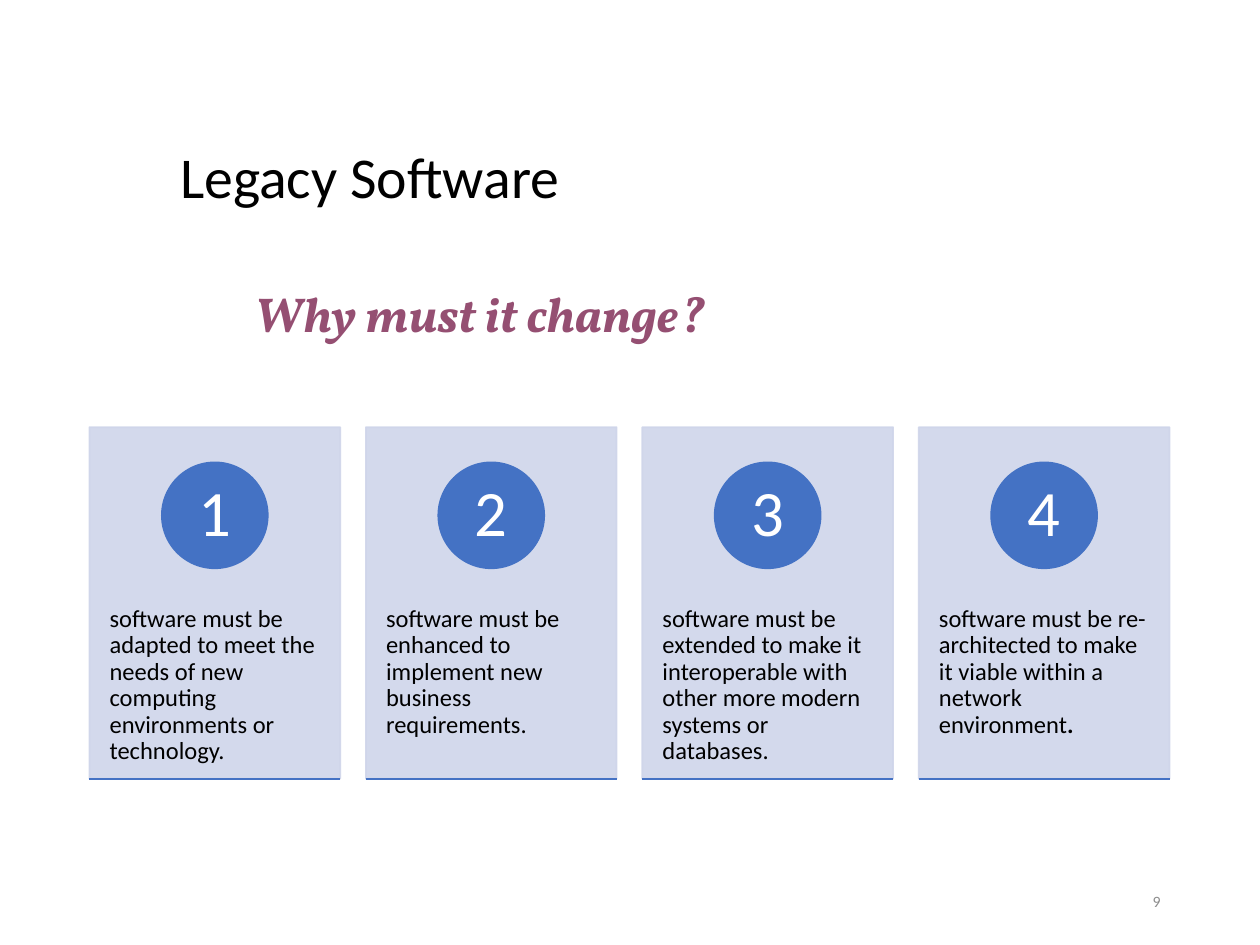
from dataclasses import dataclass

from pptx import Presentation
from pptx.dml.color import RGBColor
from pptx.enum import shapes as kinds, text as t
from pptx.oxml import ns, xmlchemy
from pptx.util import Inches, Pt

BLUE, PALE, BLACK, WHITE = "4472C4", "CFD5EA", "000000", "FFFFFF"
CARD_LEFT, CARD_TOP, CARD_WIDTH, CARD_HEIGHT = 0.71, 3.39, 1.99, 2.79
CARD_STEP = 2.194
CIRCLE, NUMERAL = 0.84, 0.59


@dataclass
class Reason:
    body: str
    bold_end: str = ""


REASONS = [
    Reason("software must be adapted to meet the needs of new computing environments or technology."),
    Reason("software must be enhanced to implement new business requirements."),
    Reason("software must be extended to make it interoperable with other more modern systems or databases."),
    Reason("software must be re-architected to make it viable within a network environment", "."),
]


def rgb(value: str) -> RGBColor:
    return RGBColor.from_string(value)


def style_text(shape, words: str, size: float, color: str, font: str = "Calibri",
               align=t.PP_ALIGN.LEFT, anchor=t.MSO_ANCHOR.TOP,
               insets=(0.1, 0.05), spacing: float = 0.9):
    """Fill a shape with one paragraph and return that paragraph."""
    frame = shape.text_frame
    frame.word_wrap = True
    frame.auto_size = t.MSO_AUTO_SIZE.NONE
    frame.vertical_anchor = anchor
    frame.margin_left = frame.margin_right = Inches(insets[0])
    frame.margin_top = frame.margin_bottom = Inches(insets[1])
    paragraph = frame.paragraphs[0]
    paragraph.text = words
    paragraph.alignment = align
    paragraph.line_spacing = spacing
    paragraph.font.size = Pt(size)
    paragraph.font.name = font
    paragraph.font.color.rgb = rgb(color)
    return paragraph


def add_text(slide, left: float, top: float, width: float, height: float,
             words: str, size: float, color: str, **style):
    box = slide.shapes.add_textbox(Inches(left), Inches(top), Inches(width), Inches(height))
    return style_text(box, words, size, color, **style)


def add_block(slide, kind, left: float, top: float, width: float, height: float,
              color: str, opacity: int = 100) -> None:
    block = slide.shapes.add_shape(kind, Inches(left), Inches(top), Inches(width), Inches(height))
    block.shadow.inherit = False
    block.fill.solid()
    block.fill.fore_color.rgb = block.line.color.rgb = rgb(color)
    block.line.width = Pt(1)
    if opacity < 100:
        for tint in block._element.spPr.iter(ns.qn("a:srgbClr")):
            alpha = xmlchemy.OxmlElement("a:alpha")
            alpha.set("val", str(opacity * 1000))
            tint.append(alpha)


def add_rule(slide, left: float, top: float, width: float) -> None:
    rule = slide.shapes.add_connector(kinds.MSO_CONNECTOR.STRAIGHT, Inches(left), Inches(top),
                                      Inches(left + width), Inches(top))
    rule.line.color.rgb = rgb(BLUE)
    rule.line.width = Pt(1)
    rule._element.spPr.append(xmlchemy.OxmlElement("a:effectLst"))


def add_card(slide, number: int, reason: Reason) -> None:
    left = CARD_LEFT + (number - 1) * CARD_STEP
    center_x, center_y = left + CARD_WIDTH / 2, 4.09
    add_block(slide, kinds.MSO_SHAPE.RECTANGLE, left, CARD_TOP, CARD_WIDTH, CARD_HEIGHT, PALE, 90)
    body = add_text(slide, left, 4.45, CARD_WIDTH, 1.68, reason.body, 14, BLACK,
                    insets=(0.16, 0.36))
    if reason.bold_end:
        ending = body.add_run()
        ending.text = reason.bold_end
        ending.font.bold = True
    add_block(slide, kinds.MSO_SHAPE.OVAL, center_x - CIRCLE / 2, center_y - CIRCLE / 2,
              CIRCLE, CIRCLE, BLUE)
    add_text(slide, center_x - NUMERAL / 2, center_y - NUMERAL / 2, NUMERAL, NUMERAL,
             str(number), 37, WHITE, align=t.PP_ALIGN.CENTER, anchor=t.MSO_ANCHOR.MIDDLE,
             insets=(0.07, 0.01))
    add_rule(slide, left, CARD_TOP + CARD_HEIGHT, CARD_WIDTH)


def main() -> None:
    deck = Presentation()
    deck.slide_width, deck.slide_height = Inches(10), Inches(7.5)
    slide = deck.slides.add_slide(deck.slide_layouts[5])

    title = slide.shapes.title
    title.left, title.top = Inches(1.33), Inches(1)
    title.width, title.height = Inches(5.94), Inches(0.86)
    style_text(title, "Legacy Software", 33, BLACK, anchor=t.MSO_ANCHOR.MIDDLE)

    for number, reason in enumerate(REASONS, start=1):
        add_card(slide, number, reason)

    add_text(slide, 7.06, 6.95, 2.25, 0.4, "9", 9, "8C8C8C", align=t.PP_ALIGN.RIGHT,
             anchor=t.MSO_ANCHOR.MIDDLE, spacing=1.0)
    question = add_text(slide, 1.92, 2.25, 4.8, 0.52, "Why must it change?", 28, "954F72",
                        font="Vollkorn")
    question.font.bold = question.font.italic = True
    deck.save("out.pptx")


if __name__ == "__main__":
    main()
